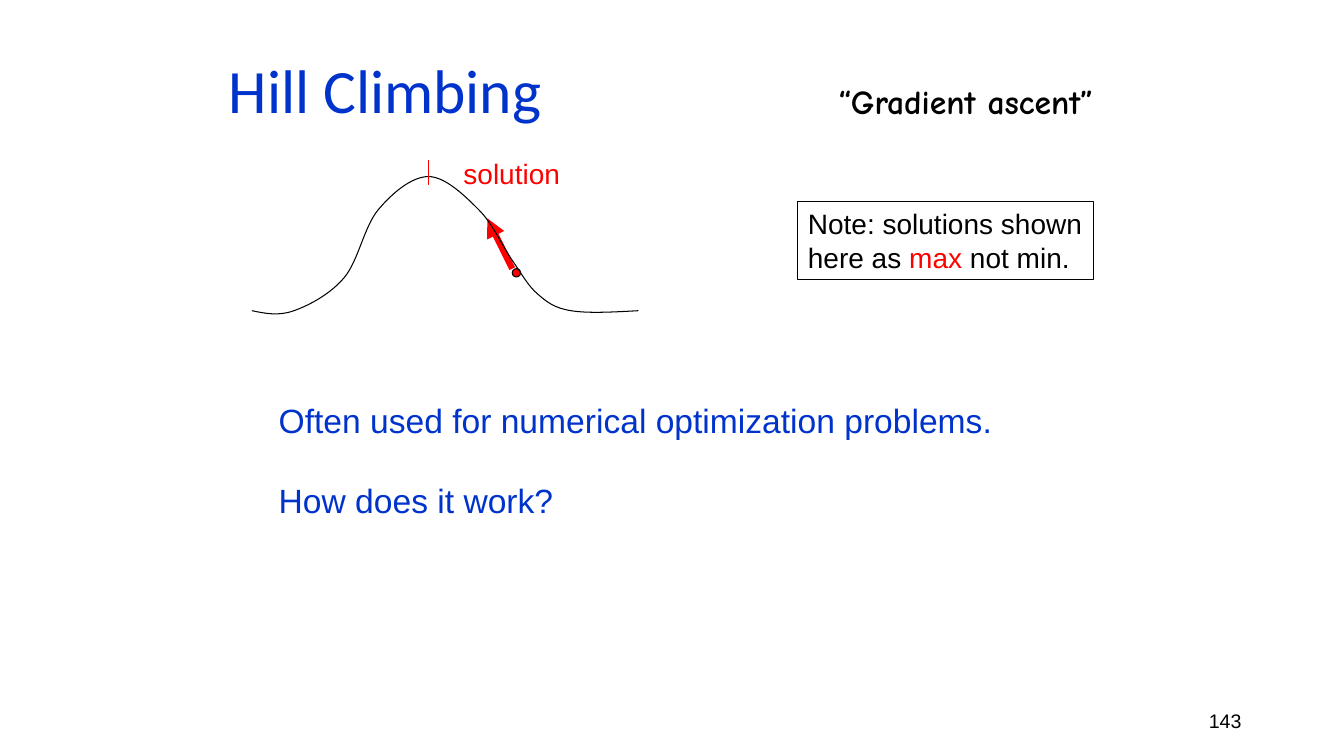
from lxml.etree import SubElement
from pptx import Presentation
from pptx.dml.color import RGBColor
from pptx.enum.shapes import MSO_CONNECTOR, MSO_SHAPE
from pptx.enum.text import MSO_ANCHOR, MSO_AUTO_SIZE, PP_ALIGN
from pptx.oxml.ns import qn
from pptx.util import Cm, Pt

# Content: each paragraph is a list of (text, colour) runs; boxes are in cm
BLUE, RED, BLACK = "0033CC", "FF0000", "000000"

TITLE = {"paragraphs": [[("Hill Climbing", BLUE)]], "box": (5.51, 0.76, 20.27, 3.18),
         "font": {"name": "Calibri", "size": Pt(44), "bold": False},
         "frame": {"vertical_anchor": MSO_ANCHOR.MIDDLE, "word_wrap": True},
         "paragraph": {"alignment": PP_ALIGN.LEFT, "line_spacing": 0.9}}
STATEMENTS = {"paragraphs": [[("Often used for numerical optimization problems.", BLUE)],
                             [("How does it work?", BLUE)]],
              "box": (6.77, 9.96, 18.67, 3.33),
              "font": {"name": "Arial", "size": Pt(24)},
              "frame": {"vertical_anchor": MSO_ANCHOR.TOP, "word_wrap": True},
              "gap": Pt(28)}
SUBTITLE = {"paragraphs": [[("“Gradient ascent”", BLACK)]], "box": (20.88, 1.91, 7.75, 1.27),
            "font": {"name": "Comic Neue", "size": Pt(24), "bold": True}}
SOLUTION = {"paragraphs": [[("solution", RED)]], "box": (11.43, 3.81, 2.95, 1.09),
            "font": {"name": "Arial", "size": Pt(20)}}
NOTE = {"paragraphs": [[("Note: solutions shown", BLACK)],
                       [("here as ", BLACK), ("max", RED), (" not min.", BLACK)]],
        "box": (20.11, 5.08, 7.44, 1.97),
        "font": {"name": "Arial", "size": Pt(20)},
        "frame": {"vertical_anchor": MSO_ANCHOR.TOP}}
PAGE = {"paragraphs": [[("143", BLACK)]], "box": (23.92, 17.65, 7.62, 1.02),
        "font": {"name": "Arial", "size": Pt(14)},
        "frame": {"vertical_anchor": MSO_ANCHOR.MIDDLE, "word_wrap": True},
        "paragraph": {"alignment": PP_ALIGN.RIGHT}}

HILL_KNOTS = [(6.35, 7.83), (7.41, 7.83), (8.68, 6.99), (9.53, 5.29), (10.8, 4.45),
              (12.07, 5.29), (12.91, 6.56), (13.55, 7.41), (14.39, 7.83), (16.09, 7.83)]
CLIMBER = (12.91, 6.77, 0.21, 0.21)
CLIMB = (12.91, 6.77, 12.28, 5.5)
PEAK_TICK = (10.8, 4.03, 10.8, 4.66)


def rgb(value):
    return RGBColor.from_string(value)


def set_all(target, values):
    for key, value in values.items():
        setattr(target, key, value)


def place(shape, box):
    set_all(shape, dict(zip(("left", "top", "width", "height"), map(Cm, box))))


def write(shape, content):
    frame = shape.text_frame
    set_all(frame, {"auto_size": MSO_AUTO_SIZE.NONE, "word_wrap": False,
                    **content.get("frame", {})})
    for index, runs in enumerate(content["paragraphs"]):
        paragraph = frame.add_paragraph() if index else frame.paragraphs[0]
        set_all(paragraph, {"alignment": PP_ALIGN.LEFT,
                            "space_before": content.get("gap", Pt(0)) if index else Pt(0),
                            **content.get("paragraph", {})})
        for text, color in runs:
            run = paragraph.add_run()
            run.text = text
            set_all(run.font, content["font"])
            run.font.color.rgb = rgb(color)


def outline(shape, color, width=0.75):
    shape.line.color.rgb = rgb(color)
    shape.line.width = Pt(width)


def add_line(shapes, ends, color, width=0.75):
    line = shapes.add_connector(MSO_CONNECTOR.STRAIGHT, *map(Cm, ends))
    outline(line, color, width)
    SubElement(line._element.spPr, qn("a:effectLst"))
    return line


def curve_segments(knots):
    """Bezier (control, control, end) triples; tangents follow the neighbouring knots."""
    def handle(index, sign):
        return [k + sign * (after - before) / 6 for k, before, after
                in zip(knots[index], knots[index - 1], knots[index + 1])]

    def middle(a, b):
        return [(p + q) / 2 for p, q in zip(a, b)]

    last = len(knots) - 2
    for i in range(last + 1):
        leaving = handle(i, 1) if i else middle(knots[0], handle(1, -1))
        arriving = handle(i + 1, -1) if i < last else middle(leaving, knots[-1])
        yield leaving, arriving, knots[i + 1]


def add_curve(shapes, knots):
    first, *others = [(Cm(x), Cm(y)) for x, y in knots]
    builder = shapes.build_freeform(*first)
    builder.add_line_segments(others, close=False)
    curve = builder.convert_to_shape()
    # Bend each straight segment into a cubic one
    straight = list(curve._element.iter(qn("a:lnTo")))
    for segment, points in zip(straight, curve_segments(knots)):
        segment.tag = qn("a:cubicBezTo")
        segment.clear()
        for x, y in points:
            SubElement(segment, qn("a:pt"), x=str(Cm(x) - curve.left),
                       y=str(Cm(y) - curve.top))
    return curve


def main():
    deck = Presentation()
    deck.slide_width, deck.slide_height = Cm(33.87), Cm(19.05)
    slide = deck.slides.add_slide(deck.slide_layouts[1])
    shapes = slide.shapes

    # Title and statements
    statements = slide.placeholders[1]
    for holder, content in ((shapes.title, TITLE), (statements, STATEMENTS)):
        place(holder, content["box"])
        write(holder, content)
    for paragraph in statements.text_frame.paragraphs:
        properties = paragraph._p.get_or_add_pPr()
        properties.set("marL", "0")
        properties.set("indent", "0")
        SubElement(properties, qn("a:buNone"))

    # Climber, its uphill step and the hill
    climber = shapes.add_shape(MSO_SHAPE.OVAL, *map(Cm, CLIMBER))
    climber.shadow.inherit = False
    climber.fill.solid()
    climber.fill.fore_color.rgb = rgb(RED)
    outline(climber, BLACK)

    climb = add_line(shapes, CLIMB, RED, 4.5)
    SubElement(climb.line._get_or_add_ln(), qn("a:tailEnd"), type="triangle")

    hill = add_curve(shapes, HILL_KNOTS)
    hill.shadow.inherit = False
    hill.fill.background()
    outline(hill, BLACK)

    add_line(shapes, PEAK_TICK, RED)

    # Labels and page number
    for content in (SUBTITLE, SOLUTION, PAGE):
        write(shapes.add_textbox(*map(Cm, content["box"])), content)

    # Framed note
    note = shapes.add_shape(MSO_SHAPE.RECTANGLE, *map(Cm, NOTE["box"]))
    note.shadow.inherit = False
    note.fill.background()
    outline(note, BLACK)
    write(note, NOTE)

    deck.save("out.pptx")


if __name__ == "__main__":
    main()
